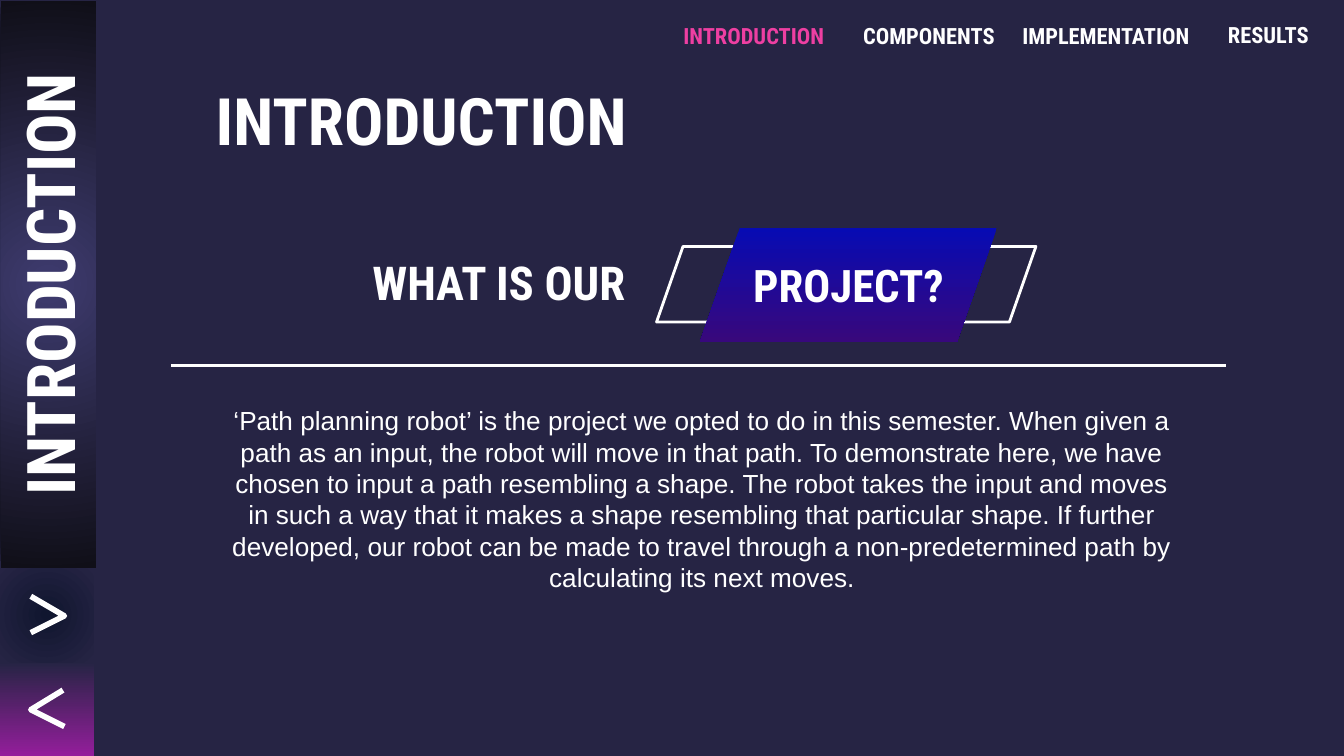
"""Build the introduction slide of a path planning robot deck."""
import pptx
import pptx.dml.color
import pptx.enum.shapes
import pptx.enum.text
import pptx.oxml
import pptx.oxml.ns
import pptx.util

PX = 9525
SHAPES = pptx.enum.shapes.MSO_SHAPE
ALIGN = pptx.enum.text.PP_ALIGN
ANCHOR = pptx.enum.text.MSO_ANCHOR
WHITE = "FFFFFF"
NAVY = "262444"
PINK = "EE3FA2"
HEADING = "Roboto Condensed"
SUMMARY = (
    "‘Path planning robot’ is the project we opted to do in this semester. "
    "When given a path as an input, the robot will move in that path. "
    "To demonstrate here, we have chosen to input a path resembling a shape. "
    "The robot takes the input and moves in such a way that it makes a shape "
    "resembling that particular shape. If further developed, our robot can be "
    "made to travel through a non-predetermined path by calculating its next moves."
)


def px(value):
    return pptx.util.Emu(value * PX)


def color(value):
    return pptx.dml.color.RGBColor.from_string(value)


def xml(tag, attributes=""):
    namespace = pptx.oxml.ns.nsdecls("a")
    return pptx.oxml.parse_xml(f"<a:{tag} {namespace} {attributes}/>")


class Painter:
    def __init__(self, page):
        self.page = page

    def label(self, shape, text, size, ink=WHITE, font=HEADING, bold=True,
              align=ALIGN.CENTER, anchor=ANCHOR.MIDDLE, left_margin=10):
        frame = shape.text_frame
        frame.word_wrap = True
        frame.auto_size = pptx.enum.text.MSO_AUTO_SIZE.NONE
        frame.vertical_anchor = anchor
        frame.margin_left = px(left_margin)
        frame.margin_top = frame.margin_right = frame.margin_bottom = px(10)
        para = frame.paragraphs[0]
        para.text = text
        para.alignment = align
        para.font.name = font
        para.font.size = pptx.util.Pt(size)
        para.font.bold = bold
        para.font.color.rgb = color(ink)

    def title(self, text, left, top, width, height, size):
        title = self.page.shapes.title
        title.left, title.top = px(left), px(top)
        title.width, title.height = px(width), px(height)
        self.label(title, text, size, align=ALIGN.LEFT)

    def text(self, text, left, top, width, height, size, **style):
        box = self.page.shapes.add_textbox(px(left), px(top), px(width), px(height))
        self.label(box, text, size, **style)

    def outline(self, shape, weight):
        shape.line.color.rgb = color(WHITE)
        shape.line.width = pptx.util.Pt(weight)
        line = shape._element.spPr.find(pptx.oxml.ns.qn("a:ln"))
        line.append(xml("round"))

    def shape(self, kind, left, top, width, height, stops=None, radial=False):
        shape = self.page.shapes.add_shape(
            kind, px(left), px(top), px(width), px(height))
        shape.shadow.inherit = False
        if kind == SHAPES.PARALLELOGRAM:
            shape.adjustments[0] = 0.35
        if stops is None:
            shape.fill.background()
            self.outline(shape, 1.5)
            return shape
        shape.line.fill.background()
        shape.fill.gradient()
        shape.fill.gradient_angle = 270
        for stop, value in zip(shape.fill.gradient_stops, stops):
            stop.color.rgb = color(value)
        if radial:
            linear = shape._element.spPr.find(".//" + pptx.oxml.ns.qn("a:lin"))
            circle = xml("path", 'path="circle"')
            circle.append(xml("fillToRect", 'l="50000" t="50000" r="50000" b="50000"'))
            linear.getparent().replace(linear, circle)
        return shape

    def chevron(self, points):
        builder = self.page.shapes.build_freeform(*points[0], scale=PX)
        builder.add_line_segments(points[1:], close=False)
        chevron = builder.convert_to_shape()
        chevron.shadow.inherit = False
        chevron.fill.background()
        self.outline(chevron, 3)

    def rule(self, left, right, top):
        rule = self.page.shapes.add_connector(
            pptx.enum.shapes.MSO_CONNECTOR.STRAIGHT,
            px(left), px(top), px(right), px(top))
        rule.line.color.rgb = color(WHITE)
        rule.line.width = pptx.util.Pt(1.5)
        rule._element.spPr.append(xml("effectLst"))


def main():
    deck = pptx.Presentation()
    deck.slide_width, deck.slide_height = px(960), px(540)
    page = deck.slides.add_slide(deck.slide_layouts[5])
    page.background.fill.solid()
    page.background.fill.fore_color.rgb = color(NAVY)
    painter = Painter(page)

    painter.title("INTRODUCTION", 144, 55, 741, 60, 35)
    painter.text(SUMMARY, 147, 279, 705, 147, 14, font="Arial", bold=False,
                 anchor=ANCHOR.TOP, left_margin=14)

    painter.shape(SHAPES.RECTANGLE, 0, 473, 67, 67, (NAVY, "931E9B"))
    painter.shape(SHAPES.RECTANGLE, 0, 405, 67, 68, ("10162F", NAVY), radial=True)
    sidebar = painter.shape(SHAPES.RECTANGLE, -168, 169, 405, 68,
                            ("3E3B6F", "100F18"), radial=True)
    sidebar.rotation = 270
    painter.label(sidebar, "INTRODUCTION", 36)
    painter.chevron([(22, 426), (46, 440), (22, 452)])
    painter.chevron([(45, 493), (22, 507), (46, 519)])

    painter.text("WHAT IS OUR", 256, 173, 212, 56, 25, align=ALIGN.LEFT)
    painter.rule(122, 876, 261)
    painter.shape(SHAPES.PARALLELOGRAM, 469, 176, 271, 54)
    painter.shape(SHAPES.PARALLELOGRAM, 500, 163, 212, 81, ("070BB3", "38087C"))
    painter.text("PROJECT?", 495, 175, 222, 56, 24)

    sections = [
        ("INTRODUCTION", 473, 8, 131, PINK),
        ("COMPONENTS", 604, 8, 119, WHITE),
        ("IMPLEMENTATION", 718, 8, 144, WHITE),
        ("RESULTS", 852, 7, 108, WHITE),
    ]
    for name, left, top, width, ink in sections:
        painter.text(name, left, top, width, 35, 12, ink=ink)

    deck.save("out.pptx")


if __name__ == "__main__":
    main()
